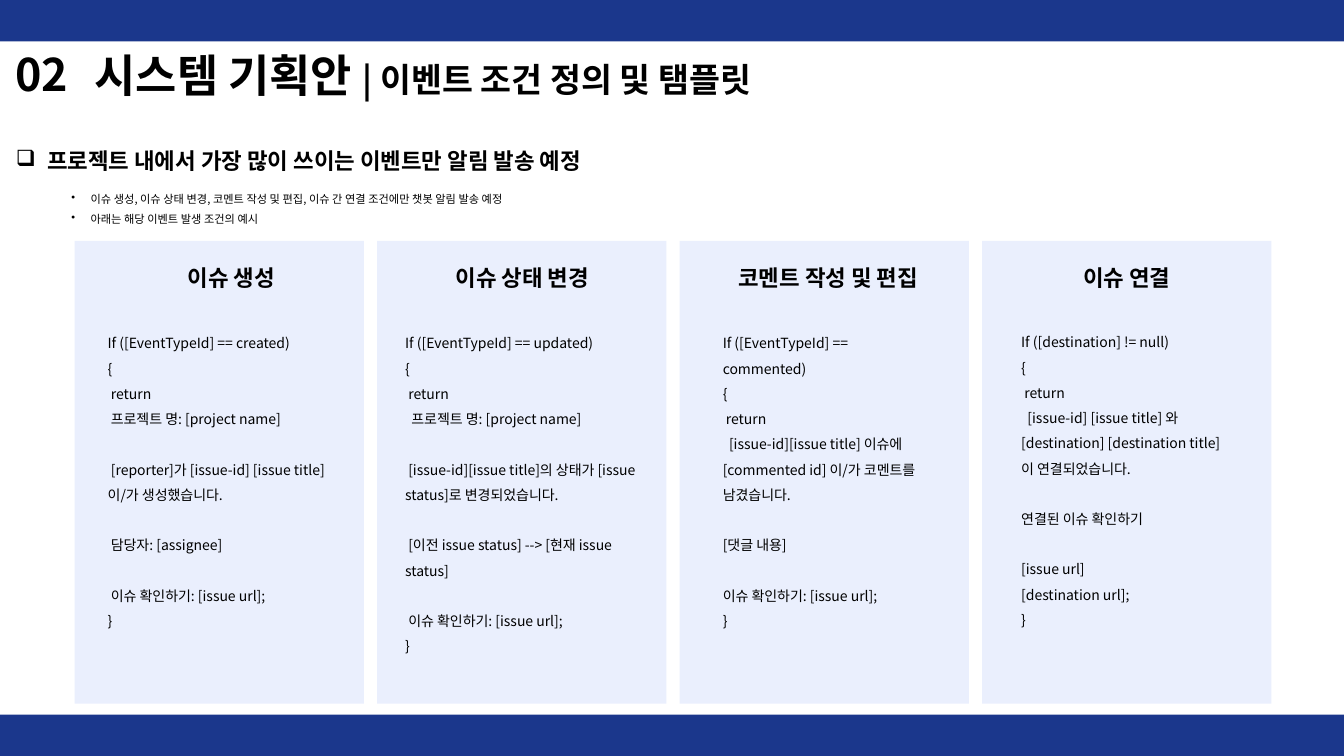
import pptx
import pptx.dml.color
import pptx.enum.shapes
import pptx.enum.text
import pptx.oxml.ns
import pptx.util
from lxml import etree
from pptx.util import Inches

FONT = "Noto Sans CJK KR"
NAVY, CARD_BLUE, BLACK = "1B378C", "3565F2", "000000"
CENTER = pptx.enum.text.PP_ALIGN.CENTER
MIDDLE = pptx.enum.text.MSO_ANCHOR.MIDDLE
GROW = pptx.enum.text.MSO_AUTO_SIZE.SHAPE_TO_FIT_TEXT
CARD_LEFT, CARD_PITCH = 0.74, 3

# heading, heading left and width, code left, top, width and height, code
CARDS = [
    ("이슈 생성", (1.62, 1.35), (0.97, 3.19, 2.44, 3.1), """\
If ([EventTypeId] == created)
{
 return
 프로젝트 명: [project name]

 [reporter]가 [issue-id] [issue title] 이/가 생성했습니다.

 담당자: [assignee]

 이슈 확인하기: [issue url];
}"""),
    ("이슈 상태 변경", (4.22, 1.92), (3.92, 3.19, 2.52, 3.35), """\
If ([EventTypeId] == updated)
{
 return
  프로젝트 명: [project name]

 [issue-id][issue title]의 상태가 [issue status]로 변경되었습니다.

 [이전 issue status] --> [현재 issue status]

 이슈 확인하기: [issue url];
}"""),
    ("코멘트 작성 및 편집", (7.09, 2.25), (7.07, 3.19, 2.29, 2.85), """\
If ([EventTypeId] == commented)
{
 return
  [issue-id][issue title] 이슈에 [commented id] 이/가 코멘트를 남겼습니다.

[댓글 내용]

이슈 확인하기: [issue url];
}"""),
    ("이슈 연결", (10.5, 1.35), (10.03, 3.18, 2.29, 3.1), """\
If ([destination] != null)
{
 return
  [issue-id] [issue title] 와 [destination] [destination title]이 연결되었습니다.

연결된 이슈 확인하기

[issue url]
[destination url];
}"""),
]


def color(hex_code):
    return pptx.dml.color.RGBColor.from_string(hex_code)


def apply(target, formats):
    for name, value in formats.items():
        setattr(target, name, value)


def add_child(parent, tag, **attributes):
    child = etree.SubElement(parent, pptx.oxml.ns.qn(tag))
    for name, value in attributes.items():
        child.set(name, value)


def add_block(slide, left, top, width, height, fill, opacity=None):
    """Add a borderless rectangle; opacity is a percentage."""
    block = slide.shapes.add_shape(
        pptx.enum.shapes.MSO_SHAPE.RECTANGLE,
        Inches(left), Inches(top), Inches(width), Inches(height))
    block.shadow.inherit = False
    block.fill.solid()
    block.fill.fore_color.rgb = color(fill)
    block.line.fill.background()
    if opacity is not None:
        fill_color = block._element.spPr.find(".//" + pptx.oxml.ns.qn("a:srgbClr"))
        add_child(fill_color, "a:alpha", val=str(opacity * 1000))


def add_text_frame(slide, left, top, width, height, **formats):
    box = slide.shapes.add_textbox(
        Inches(left), Inches(top), Inches(width), Inches(height))
    apply(box.text_frame, {"word_wrap": True, **formats})
    return box.text_frame


def add_run(paragraph, text, size, bold=False):
    run = paragraph.add_run()
    run.text = text
    apply(run.font, {"size": pptx.util.Pt(size), "bold": bold, "name": FONT})
    run.font.color.rgb = color(BLACK)
    add_child(run.font._element, "a:ea", typeface=FONT)


def add_bullet(paragraph, symbol, indent):
    properties = paragraph._p.get_or_add_pPr()
    properties.set("marL", str(Inches(indent)))
    properties.set("indent", str(-Inches(indent)))
    add_child(properties, "a:buChar", char=symbol)


def add_lines(frame, lines, size, bold=False, bullet=None, **formats):
    """Write one paragraph per line; bullet is a symbol and its indent."""
    for index, line in enumerate(lines):
        paragraph = frame.add_paragraph() if index else frame.paragraphs[0]
        if bullet:
            add_bullet(paragraph, *bullet)
        apply(paragraph, formats)
        add_run(paragraph, line, size, bold)


def add_code(slide, place, code):
    """Write code, showing each empty line as space before a paragraph."""
    lines = code.split("\n")
    frame = add_text_frame(slide, *place, auto_size=GROW)
    add_lines(frame, [line for line in lines if line], 10, line_spacing=1.5)
    after_gap = [not before for before, line in zip([" "] + lines, lines) if line]
    for paragraph, gap in zip(frame.paragraphs, after_gap):
        if gap:
            paragraph.space_before = pptx.util.Pt(18)


def add_title(slide):
    title = add_text_frame(slide, 0.84, 0.41, 8.01, 0.72, vertical_anchor=MIDDLE)
    add_lines(title, ["시스템 기획안 "], 32, True, line_spacing=0.9)
    add_run(title.paragraphs[0], "| 이벤트 조건 정의 및 탬플릿", 24, True)
    number = add_text_frame(slide, -0.01, 0.39, 0.85, 0.74, vertical_anchor=MIDDLE)
    add_lines(number, ["02"], 32, True, alignment=CENTER, line_spacing=0.9)


def add_summary(slide):
    headline = add_text_frame(slide, 0.06, 1.41, 8.66, 0.37,
                              vertical_anchor=MIDDLE, auto_size=GROW)
    add_lines(headline, ["프로젝트 내에서 가장 많이 쓰이는 이벤트만 알림 발송 예정"],
              16, True, ("❑", 0.31))
    details = add_text_frame(slide, 0.61, 1.79, 9.02, 0.48, auto_size=GROW)
    add_lines(details, [
        "이슈 생성, 이슈 상태 변경, 코멘트 작성 및 편집, 이슈 간 연결 조건에만 챗봇 알림 발송 예정",
        "아래는 해당 이벤트 발생 조건의 예시",
    ], 8, bullet=("•", 0.19), line_spacing=1.5)


def add_card(slide, index, heading, heading_span, code_place, code):
    add_block(slide, CARD_LEFT + index * CARD_PITCH, 2.39, 2.87, 4.59, CARD_BLUE, 10)
    left, width = heading_span
    frame = add_text_frame(slide, left, 2.57, width, 0.37,
                           vertical_anchor=MIDDLE, auto_size=GROW)
    add_lines(frame, [heading], 16, True, alignment=CENTER)
    add_code(slide, code_place, code)


def main():
    deck = pptx.Presentation()
    apply(deck, {"slide_width": Inches(13.33), "slide_height": Inches(7.5)})
    slide = deck.slides.add_slide(deck.slide_layouts[6])
    add_title(slide)
    for band_top in (0, 7.09):
        add_block(slide, 0, band_top, 13.33, 0.41, NAVY)
    add_summary(slide)
    for index, card in enumerate(CARDS):
        add_card(slide, index, *card)
    deck.save("out.pptx")


if __name__ == "__main__":
    main()
